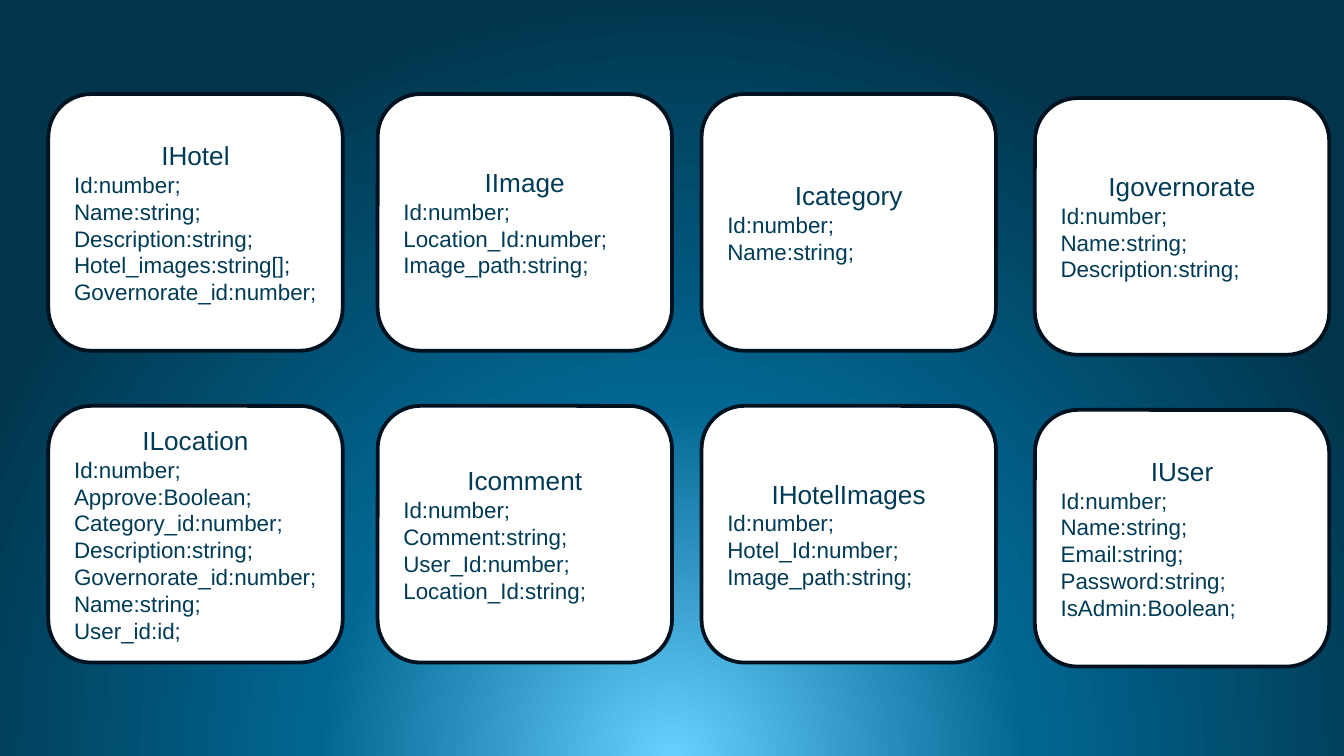
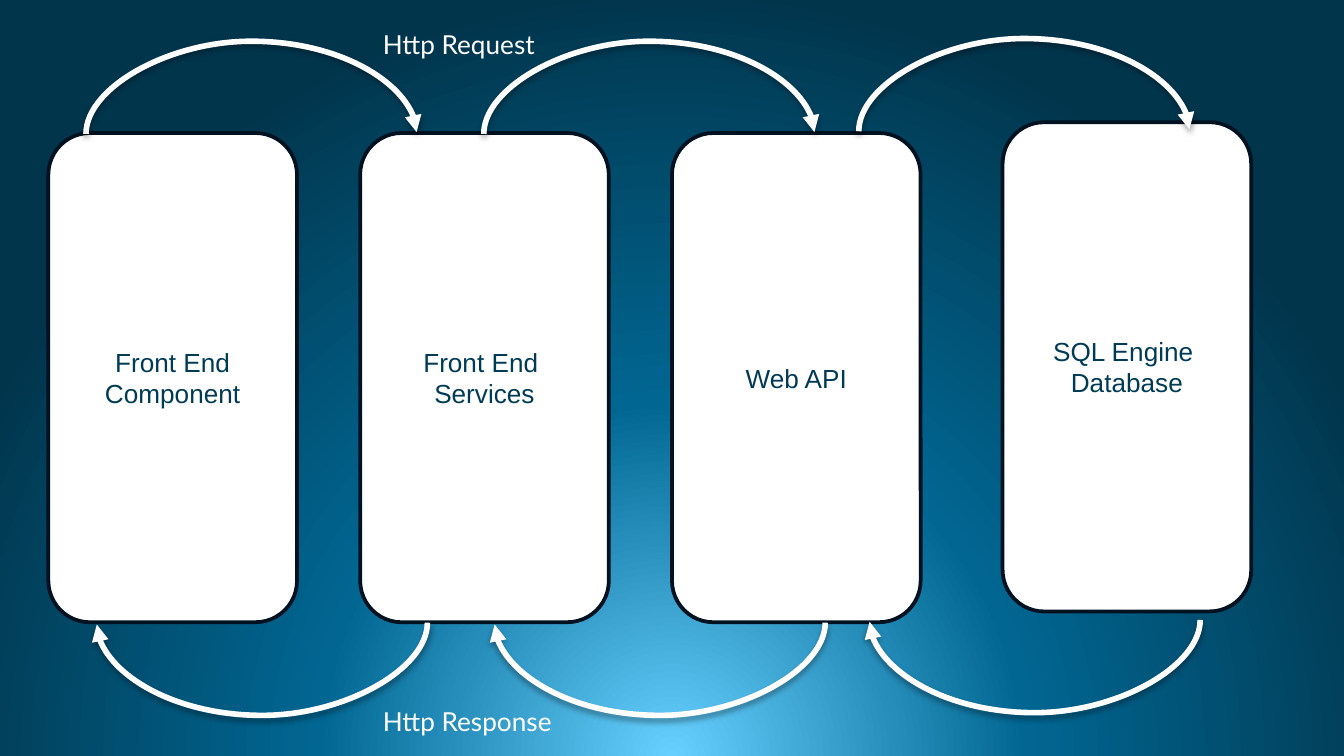
from typing import NamedTuple

from lxml import etree
from pptx import Presentation
from pptx.dml.color import RGBColor
from pptx.enum.shapes import MSO_CONNECTOR, MSO_SHAPE
from pptx.enum.text import MSO_ANCHOR, PP_ALIGN
from pptx.oxml import parse_xml
from pptx.oxml.ns import nsdecls, qn
from pptx.util import Inches, Pt

ROUNDED = MSO_SHAPE.ROUNDED_RECTANGLE
PROCESS = MSO_SHAPE.FLOWCHART_ALTERNATE_PROCESS
CURVE = MSO_CONNECTOR.CURVE
MIDDLE = MSO_ANCHOR.MIDDLE
CENTER, LEFT = PP_ALIGN.CENTER, PP_ALIGN.LEFT

WHITE, NAVY, OUTLINE = "FFFFFF", "003B55", "001120"
GLOW = [(0, "67D0FE"), (46, "016692"), (100, "01354C")]
BOX_FONT, LABEL_FONT = "Arial", "Lato"
HEADING_SIZE, FIELD_SIZE = 14, 12

CARD_WIDTH, CARD_HEIGHT = 2.19, 1.91
CARD_TOPS = (0.7, 3.02)
TIER_WIDTH, TIER_HEIGHT = 1.85, 3.64
ARROW_SPAN = 2.46
ARROW_DEPTH = Pt(1)  # thickness of the connector frame, which the bend multiplies
ARROW_BEND = 5006200


class Line(NamedTuple):
    text: str
    size: int = HEADING_SIZE
    align: PP_ALIGN = CENTER


class Column(NamedTuple):
    left: float
    shift: float = 0.0


class Model(NamedTuple):
    name: str
    fields: list[str]


class Tier(NamedTuple):
    left: float
    top: float
    lines: list[str]


class Arrow(NamedTuple):
    start: float
    level: float
    direction: int  # 1 runs right above the tiers, -1 runs left below them


class Label(NamedTuple):
    text: str
    top: float
    width: float


CARD_COLUMNS = [Column(0.36), Column(2.81), Column(5.22), Column(7.7, 0.03)]

MODEL_ROWS = [
    [
        Model("IHotel", ["Id:number;", "Name:string;", "Description:string;",
                         "Hotel_images:string[];", "Governorate_id:number;"]),
        Model("IImage", ["Id:number;", "Location_Id:number;", "Image_path:string;"]),
        Model("Icategory", ["Id:number;", "Name:string;"]),
        Model("Igovernorate", ["Id:number;", "Name:string;", "Description:string;"]),
    ],
    [
        Model("ILocation", ["Id:number;", "Approve:Boolean;", "Category_id:number;",
                            "Description:string;", "Governorate_id:number;",
                            "Name:string;", "User_id:id;"]),
        Model("Icomment", ["Id:number;", "Comment:string;", "User_Id:number;",
                           "Location_Id:string;"]),
        Model("IHotelImages", ["Id:number;", "Hotel_Id:number;", "Image_path:string;"]),
        Model("IUser", ["Id:number;", "Name:string;", "Email:string;",
                        "Password:string;", "IsAdmin:Boolean;"]),
    ],
]

TIERS = [
    Tier(0.36, 0.99, ["Front End", "Component"]),
    Tier(2.68, 0.99, ["Front End ", "Services"]),
    Tier(5.0, 0.99, ["Web API"]),
    Tier(7.46, 0.91, ["SQL Engine ", "Database"]),
]

ARROWS = [
    Arrow(8.93, 4.62, -1),
    Arrow(6.14, 4.64, -1),
    Arrow(3.18, 4.64, -1),
    Arrow(6.39, 0.97, 1),
    Arrow(3.6, 0.99, 1),
    Arrow(0.64, 0.99, 1),
]

LABELS = [Label("Http Request", 0.16, 1.34), Label("Http Response", 5.2, 1.5)]


def color(value: str) -> RGBColor:
    return RGBColor.from_string(value)


def style_font(paragraph, name: str, size: int, value: str) -> None:
    font = paragraph.font
    font.name, font.size = name, Pt(size)
    font.color.rgb = color(value)


def set_background(master) -> None:
    """Give every slide the round glow that rises from below the bottom edge."""
    master.background.fill.solid()
    properties = master.element.find(".//" + qn("p:bgPr"))
    stops = "".join(
        f'<a:gs pos="{position * 1000}"><a:srgbClr val="{value}"/></a:gs>'
        for position, value in GLOW
    )
    gradient = parse_xml(
        f'<a:gradFill {nsdecls("a")} rotWithShape="1"><a:gsLst>{stops}</a:gsLst>'
        '<a:path path="circle"><a:fillToRect l="50000" t="130000" r="50000" b="-30000"/>'
        "</a:path></a:gradFill>"
    )
    properties.replace(properties.find(qn("a:solidFill")), gradient)


def add_box(slide, kind, left: float, top: float, width: float, height: float,
            lines: list[Line]) -> None:
    """Draw a white outlined box holding one paragraph per line."""
    shape = slide.shapes.add_shape(kind, Inches(left), Inches(top),
                                   Inches(width), Inches(height))
    shape.shadow.inherit = False
    shape.fill.solid()
    shape.fill.fore_color.rgb = color(WHITE)
    shape.line.color.rgb = color(OUTLINE)
    shape.line.width = Pt(2)
    frame = shape.text_frame
    frame.word_wrap = True
    frame.vertical_anchor = MIDDLE
    for index, line in enumerate(lines):
        paragraph = frame.add_paragraph() if index else frame.paragraphs[0]
        paragraph.text = line.text
        paragraph.alignment = line.align
        style_font(paragraph, BOX_FONT, line.size, NAVY)


def add_arrow(slide, arrow: Arrow) -> None:
    """Draw an arched arrow: an upright curve turned a quarter and bent far out."""
    reach = arrow.direction * Inches(ARROW_SPAN) // 2
    depth = -arrow.direction * ARROW_DEPTH // 2
    center_x, center_y = Inches(arrow.start) + reach, Inches(arrow.level)
    connector = slide.shapes.add_connector(
        CURVE, center_x - depth, center_y + reach, center_x + depth, center_y - reach)
    connector.line.color.rgb = color(WHITE)
    connector.line.width = Pt(3)

    properties = connector._element.spPr
    properties.find(qn("a:xfrm")).set("rot", "5400000")
    guides = properties.find(qn("a:prstGeom")).get_or_add_avLst()
    etree.SubElement(guides, qn("a:gd"), name="adj1", fmla=f"val {ARROW_BEND}")
    etree.SubElement(properties.find(qn("a:ln")), qn("a:tailEnd"), type="triangle")
    properties.append(parse_xml(
        f'<a:effectLst {nsdecls("a")}>'
        '<a:outerShdw blurRad="40000" dist="23000" dir="5400000" rotWithShape="0">'
        '<a:srgbClr val="000000"><a:alpha val="35000"/></a:srgbClr>'
        "</a:outerShdw></a:effectLst>"
    ))


def add_label(slide, label: Label) -> None:
    box = slide.shapes.add_textbox(Inches(2.75), Inches(label.top),
                                   Inches(label.width), Inches(0.34))
    box.text_frame.word_wrap = False
    paragraph = box.text_frame.paragraphs[0]
    paragraph.text = label.text
    style_font(paragraph, LABEL_FONT, HEADING_SIZE, WHITE)


def build_models(slide) -> None:
    for top, models in zip(CARD_TOPS, MODEL_ROWS):
        for column, model in zip(CARD_COLUMNS, models):
            fields = [Line(field, FIELD_SIZE, LEFT) for field in model.fields]
            add_box(slide, ROUNDED, column.left, top + column.shift,
                    CARD_WIDTH, CARD_HEIGHT, [Line(model.name), *fields])


def build_architecture(slide) -> None:
    for tier in TIERS:
        add_box(slide, PROCESS, tier.left, tier.top, TIER_WIDTH, TIER_HEIGHT,
                [Line(text) for text in tier.lines])
    for arrow in ARROWS:
        add_arrow(slide, arrow)
    for label in LABELS:
        add_label(slide, label)


def main() -> None:
    presentation = Presentation()
    presentation.slide_width = Inches(10)
    presentation.slide_height = Inches(10) * 9 // 16
    set_background(presentation.slide_master)
    blank = presentation.slide_layouts[6]
    for build in (build_models, build_architecture):
        build(presentation.slides.add_slide(blank))
    presentation.save("out.pptx")


if __name__ == "__main__":
    main()
